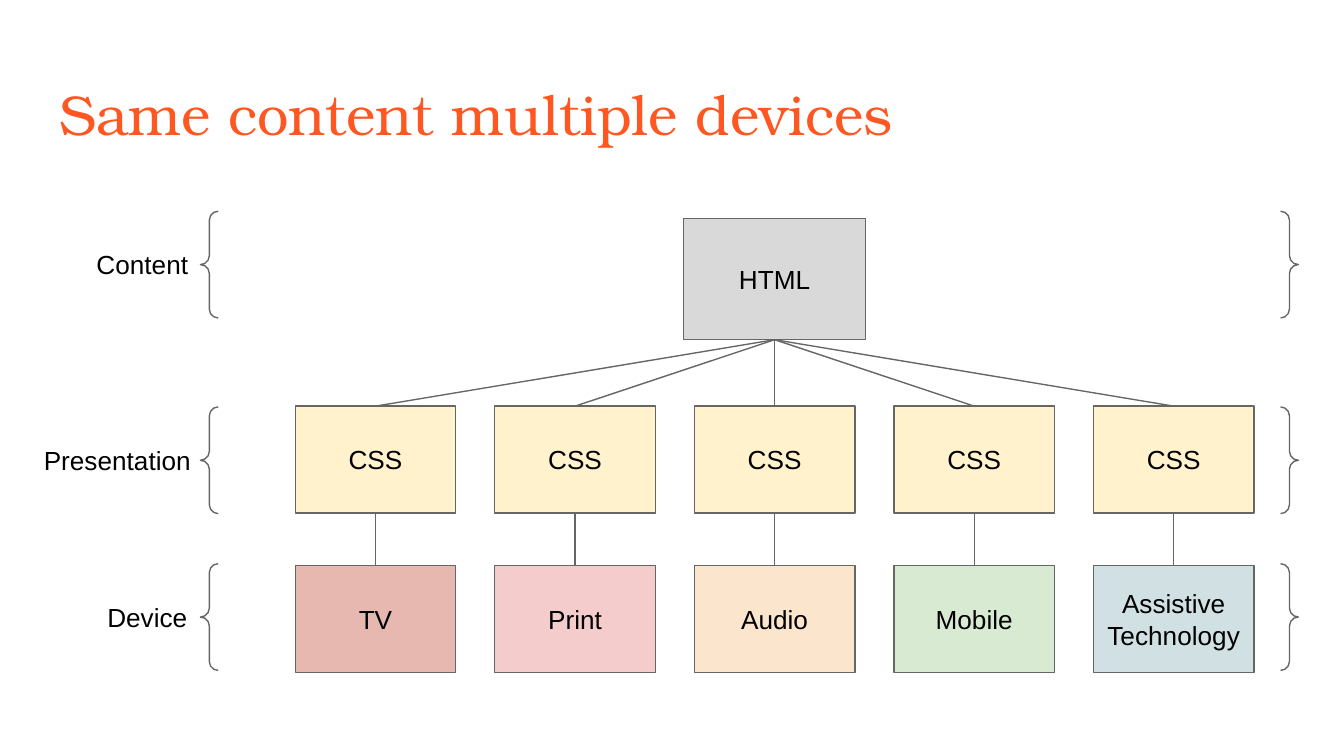
from dataclasses import dataclass

from pptx import Presentation
from pptx.dml.color import RGBColor
from pptx.enum import shapes, text
from pptx.oxml.ns import qn
from pptx.util import Pt
from lxml import etree


@dataclass(frozen=True)
class Theme:
    title_color: str = "FF5722"
    ink: str = "000000"
    outline: str = "666666"
    html: str = "D9D9D9"
    css: str = "FFF2CC"
    title_font: str = "TeX Gyre Bonum"
    body_font: str = "Arial"
    title_size: float = 30
    body_size: float = 14
    line_width: float = 0.75
    inset: float = 7.2


class Diagram:
    """Holds the theme and the current slide; one method per element."""

    def __init__(self, slide, theme):
        self.slide, self.theme = slide, theme

    def set_text(self, shape, wording, anchor, align, font, size, color):
        frame = shape.text_frame
        frame.text = wording
        inset = Pt(self.theme.inset)
        frame_format = {
            "word_wrap": True, "auto_size": text.MSO_AUTO_SIZE.NONE,
            "vertical_anchor": anchor,
            "margin_left": inset, "margin_right": inset,
            "margin_top": inset, "margin_bottom": inset,
        }
        for name, value in frame_format.items():
            setattr(frame, name, value)
        for paragraph in frame.paragraphs:
            paragraph.alignment = align
            for name, value in {"name": font, "size": Pt(size)}.items():
                setattr(paragraph.font, name, value)
            paragraph.font.color.rgb = RGBColor.from_string(color)

    def set_body(self, shape, wording, anchor, align):
        t = self.theme
        self.set_text(shape, wording, anchor, align, t.body_font, t.body_size, t.ink)

    def outline(self, element):
        element.line.color.rgb = RGBColor.from_string(self.theme.outline)
        element.line.width = Pt(self.theme.line_width)

    def title(self, wording, left, top, width, height):
        t, heading = self.theme, self.slide.shapes.title
        place = {"left": left, "top": top, "width": width, "height": height}
        for name, value in place.items():
            setattr(heading, name, Pt(value))
        self.set_text(heading, wording, text.MSO_ANCHOR.TOP, text.PP_ALIGN.LEFT,
                      t.title_font, t.title_size, t.title_color)

    def box(self, wording, center, top, width, height, fill):
        node = self.slide.shapes.add_shape(
            shapes.MSO_SHAPE.RECTANGLE,
            Pt(center - width / 2), Pt(top), Pt(width), Pt(height))
        node.shadow.inherit = False
        node.fill.solid()
        node.fill.fore_color.rgb = RGBColor.from_string(fill)
        self.outline(node)
        self.set_body(node, wording, text.MSO_ANCHOR.MIDDLE, text.PP_ALIGN.CENTER)
        return node

    def link(self, parent, child):
        branch = self.slide.shapes.add_connector(
            shapes.MSO_CONNECTOR.STRAIGHT, 0, 0, 0, 0)
        branch.begin_connect(parent, 2)
        branch.end_connect(child, 0)
        self.outline(branch)
        etree.SubElement(branch._element.spPr, qn("a:effectLst"))

    def braces(self, left, top, width, height):
        pair = self.slide.shapes.add_shape(
            shapes.MSO_SHAPE.DOUBLE_BRACE, Pt(left), Pt(top), Pt(width), Pt(height))
        pair.shadow.inherit = False
        pair.fill.background()
        self.outline(pair)

    def label(self, wording, left, top, width, height, anchor):
        caption = self.slide.shapes.add_textbox(
            Pt(left), Pt(top), Pt(width), Pt(height))
        self.set_body(caption, wording, anchor, text.PP_ALIGN.LEFT)


def main():
    deck = Presentation()
    deck.slide_width, deck.slide_height = Pt(720), Pt(405)
    theme = Theme()
    diagram = Diagram(deck.slides.add_slide(deck.slide_layouts[5]), theme)
    diagram.title("Same content multiple devices", 24.5, 35.4, 671, 45.4)

    # Tree: one document, a style sheet per device
    devices = [("TV", "E6B8AF"), ("Print", "F4CCCC"), ("Audio", "FCE5CD"),
               ("Mobile", "D9EAD3"), ("Assistive\nTechnology", "D0E0E3")]
    middle, pitch, width, height = 415, 106.9, 86, 57.2
    html = diagram.box("HTML", middle, 117.2, 97.4, 64.8, theme.html)
    for column, (device_name, tint) in enumerate(devices):
        center = middle + (column - len(devices) // 2) * pitch
        css = diagram.box("CSS", center, 217.6, width, height, theme.css)
        device = diagram.box(device_name, center, 303, width, height, tint)
        diagram.link(html, css)
        diagram.link(css, device)

    # Layers: braces around each row with a label at the left
    top, center = text.MSO_ANCHOR.TOP, text.MSO_ANCHOR.MIDDLE
    layers = [(113.2, "Content", (44.6, 126, 106.6, 28), top),
              (218, "Presentation", (16.4, 224, 236, 45.4), center),
              (302, "Device", (50.4, 311, 97, 39), center)]
    for brace_top, layer, place, anchor in layers:
        diagram.braces(107.4, brace_top, 588.2, 57.2)
        diagram.label(layer, *place, anchor)

    deck.save("out.pptx")


if __name__ == "__main__":
    main()
